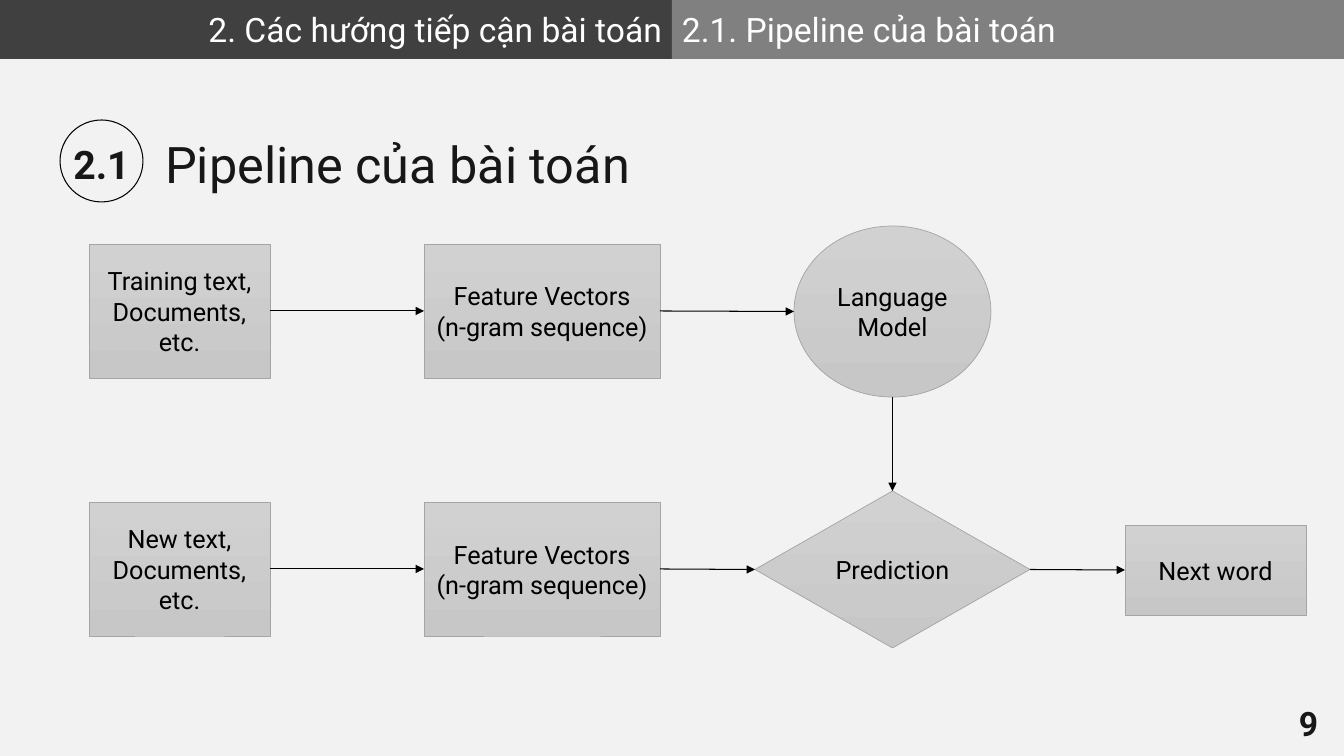
from lxml import etree
from pptx import Presentation
from pptx.dml.color import RGBColor
from pptx.enum.shapes import MSO_CONNECTOR, MSO_SHAPE
from pptx.enum.text import MSO_ANCHOR, PP_ALIGN
from pptx.oxml.ns import qn
from pptx.util import Pt

PX = 914400 / 100.8
FONT = "Roboto"
BLACK = RGBColor(0x00, 0x00, 0x00)
WHITE = RGBColor(0xFF, 0xFF, 0xFF)
INK = RGBColor(0x18, 0x17, 0x17)
PAPER = RGBColor(0xF2, 0xF2, 0xF2)
DARK_BAR = RGBColor(0x40, 0x40, 0x40)
LIGHT_BAR = RGBColor(0x80, 0x80, 0x80)
NODE_TOP = RGBColor(0xD1, 0xD1, 0xD1)
NODE_BOTTOM = RGBColor(0xC7, 0xC7, 0xC7)
NODE_EDGE = RGBColor(0xA5, 0xA5, 0xA5)
LEFT, CENTER, RIGHT = PP_ALIGN.LEFT, PP_ALIGN.CENTER, PP_ALIGN.RIGHT
TOP, MIDDLE = MSO_ANCHOR.TOP, MSO_ANCHOR.MIDDLE
RECT, OVAL, DIAMOND = MSO_SHAPE.RECTANGLE, MSO_SHAPE.OVAL, MSO_SHAPE.DIAMOND
STRAIGHT = MSO_CONNECTOR.STRAIGHT


def emu(*lengths):
    """Turn px lengths into EMU."""
    return [round(n * PX) for n in lengths]


def set_text(shape, text, size, color, align, anchor=MIDDLE, bold=False):
    tf = shape.text_frame
    tf.text = text
    tf.word_wrap = True
    tf.vertical_anchor = anchor
    for p in tf.paragraphs:
        p.alignment = align
        for r in p.runs:
            r.font.name = FONT
            r.font.size = Pt(size)
            r.font.bold = bold
            r.font.color.rgb = color


prs = Presentation()
prs.slide_width, prs.slide_height = emu(1344, 756)
s = prs.slides.add_slide(prs.slide_layouts[5])
s.background.fill.solid()
s.background.fill.fore_color.rgb = PAPER

# Header bars
for x, text, color, align in [
    (0, "2. Các hướng tiếp cận bài toán", DARK_BAR, RIGHT),
    (672, "2.1. Pipeline của bài toán", LIGHT_BAR, LEFT),
]:
    bar = s.shapes.add_shape(RECT, *emu(x, 0, 672, 59))
    bar.shadow.inherit = False
    bar.fill.solid()
    bar.fill.fore_color.rgb = color
    bar.line.fill.background()
    set_text(bar, text, 24, WHITE, align)

# Title with its section number
title = s.shapes.title
title.left, title.top, title.width, title.height = emu(155, 128, 883, 72)
set_text(title, "Pipeline của bài toán", 36, INK, LEFT, TOP)

ring = s.shapes.add_shape(OVAL, *emu(60, 120, 83, 82))
ring.shadow.inherit = False
ring.fill.background()
ring.line.color.rgb = BLACK
ring.line.width = Pt(0.75)

for box, text, size, align in [
    ((60, 135, 83, 57), "2.1", 28, CENTER),
    ((1026, 703, 302, 40), "9", 24, RIGHT),
]:
    label = s.shapes.add_textbox(*emu(*box))
    set_text(label, text, size, INK, align, bold=True)

# Pipeline nodes
nodes = {}
for name, kind, box, text in [
    ("training", RECT, (89, 244, 181, 134), "Training text, Documents, etc."),
    ("train features", RECT, (424, 244, 236, 134), "Feature Vectors\n(n-gram sequence)"),
    ("model", OVAL, (794, 226, 197, 171), "Language Model"),
    ("new", RECT, (89, 502, 181, 134), "New text, Documents, etc."),
    ("new features", RECT, (424, 502, 236, 134), "Feature Vectors\n(n-gram sequence)"),
    ("prediction", DIAMOND, (755, 491, 275, 157), "Prediction"),
    ("next", RECT, (1125, 525, 181, 90), "Next word"),
]:
    node = s.shapes.add_shape(kind, *emu(*box))
    node.shadow.inherit = False
    node.fill.gradient()
    node.fill.gradient_angle = 270
    for stop, color in zip(node.fill.gradient_stops, (NODE_TOP, NODE_BOTTOM)):
        stop.color.rgb = color
    node.line.color.rgb = NODE_EDGE
    node.line.width = Pt(0.5)
    set_text(node, text, 18, BLACK, CENTER)
    nodes[name] = node

# Arrows; an oval has eight connection sites: 2 is its left, 4 its bottom
for start, start_site, end, end_site in [
    ("training", 3, "train features", 1),
    ("train features", 3, "model", 2),
    ("new", 3, "new features", 1),
    ("new features", 3, "prediction", 1),
    ("model", 4, "prediction", 0),
    ("prediction", 3, "next", 1),
]:
    a, b = nodes[start], nodes[end]
    if end_site == 0:
        ends = (a.left + a.width // 2, a.top + a.height, b.left + b.width // 2, b.top)
    else:
        ends = (a.left + a.width, a.top + a.height // 2, b.left, b.top + b.height // 2)
    arrow = s.shapes.add_connector(STRAIGHT, *ends)
    # The sites are set after python-pptx moves the ends, which knows only four sides
    arrow.begin_connect(a, start_site if start != "model" else 2)
    arrow.end_connect(b, end_site if end != "model" else 1)
    links = arrow._element.nvCxnSpPr.cNvCxnSpPr
    links.stCxn.idx, links.endCxn.idx = start_site, end_site
    arrow.line.color.rgb = BLACK
    arrow.line.width = Pt(0.75)
    etree.SubElement(arrow.line._get_or_add_ln(), qn("a:tailEnd"), type="triangle")
    etree.SubElement(arrow._element.spPr, qn("a:effectLst"))

prs.save("out.pptx")
